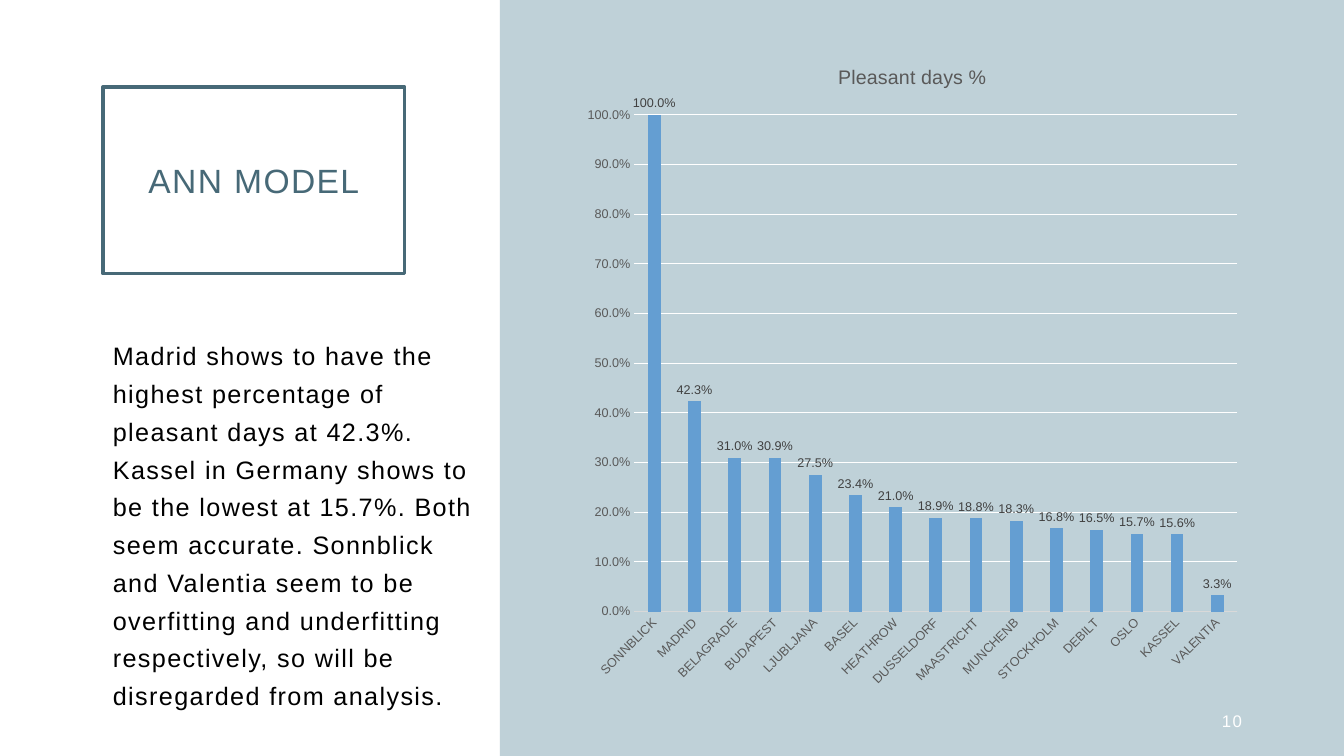
"""Build the ANN model slide: a framed title, commentary and a column chart of pleasant days."""
from dataclasses import dataclass

from lxml import etree
from pptx import Presentation
from pptx import util as u
from pptx.chart.chart import Chart
from pptx.chart.data import CategoryChartData
from pptx.dml.color import RGBColor
from pptx.enum import chart as charts, shapes, text
from pptx.oxml.ns import qn
from pptx.slide import Slide
from pptx.text.text import Font

EMU_PER_PX = 914400 / 100.8


@dataclass(frozen=True)
class Theme:
    font: str = "Arial"
    accent: str = "476977"
    panel: str = "AFC6CF"
    panel_alpha: int = 80
    ink: str = "000000"
    white: str = "FFFFFF"
    bar: str = "649ED2"
    axis_text: str = "595959"
    axis_line: str = "D9D9D9"
    label_text: str = "404040"
    title_size: int = 24
    body_size: int = 18
    chart_title_size: int = 14
    number_size: int = 12
    chart_size: int = 10
    axis_size: int = 9
    letter_spacing: int = 100


@dataclass(frozen=True)
class Box:
    left: int
    top: int
    width: int
    height: int

    def emu(self) -> tuple[u.Emu, ...]:
        return tuple(px(n) for n in (self.left, self.top, self.width, self.height))


@dataclass(frozen=True)
class TextBlock:
    box: Box
    words: str
    size: int
    color: str
    align: text.PP_ALIGN = text.PP_ALIGN.LEFT
    anchor: text.MSO_ANCHOR = text.MSO_ANCHOR.MIDDLE
    line_spacing: float = 1.0
    space_after: int = 0
    outline: str | None = None


THEME = Theme()
PANEL = Box(500, 0, 844, 756)
CHART = Box(574, 42, 677, 658)
BLOCKS = (
    TextBlock(Box(103, 87, 302, 187), "ANN MODEL", THEME.title_size, THEME.accent,
              align=text.PP_ALIGN.CENTER, outline=THEME.accent),
    TextBlock(Box(103, 328, 384, 386),
              "Madrid shows to have the highest percentage of pleasant days at 42.3%. "
              "Kassel in Germany shows to be the lowest at 15.7%. Both seem accurate. "
              "Sonnblick and Valentia seem to be overfitting and underfitting "
              "respectively, so will be disregarded from analysis.",
              THEME.body_size, THEME.ink, anchor=text.MSO_ANCHOR.TOP,
              line_spacing=1.25, space_after=6),
    TextBlock(Box(950, 701, 302, 40), "10", THEME.number_size, THEME.white,
              align=text.PP_ALIGN.RIGHT),
)
CHART_TITLE = "Pleasant days %"
PERCENT = "0.0%"
PLEASANT_DAYS = {
    "SONNBLICK": 1, "MADRID": 0.423, "BELAGRADE": 0.31, "BUDAPEST": 0.309,
    "LJUBLJANA": 0.275, "BASEL": 0.234, "HEATHROW": 0.21, "DUSSELDORF": 0.189,
    "MAASTRICHT": 0.188, "MUNCHENB": 0.183, "STOCKHOLM": 0.168, "DEBILT": 0.165,
    "OSLO": 0.157, "KASSEL": 0.156, "VALENTIA": 0.033,
}


def px(length: int) -> u.Emu:
    return u.Emu(round(length * EMU_PER_PX))


def rgb(color: str) -> RGBColor:
    return RGBColor.from_string(color)


def style_font(font: Font, size: int, color: str) -> None:
    font.name = THEME.font
    font.size = u.Pt(size)
    font.bold = False
    font.color.rgb = rgb(color)


def draw_panel(slide: Slide) -> None:
    panel = slide.shapes.add_shape(shapes.MSO_SHAPE.RECTANGLE, *PANEL.emu())
    panel.shadow.inherit = False
    panel.fill.solid()
    panel.fill.fore_color.rgb = rgb(THEME.panel)
    panel.line.fill.background()
    color = panel.element.xpath("./p:spPr/a:solidFill/a:srgbClr")[0]
    etree.SubElement(color, qn("a:alpha")).set("val", str(THEME.panel_alpha * 1000))


def draw_text(slide: Slide, block: TextBlock) -> None:
    shape = slide.shapes.add_textbox(*block.box.emu())
    if block.outline:
        shape.line.color.rgb = rgb(block.outline)
        shape.line.width = u.Pt(2.25)
    frame = shape.text_frame
    frame.word_wrap = True
    frame.vertical_anchor = block.anchor
    paragraph = frame.paragraphs[0]
    paragraph.text = block.words
    paragraph.alignment = block.align
    paragraph.line_spacing = block.line_spacing
    paragraph.space_after = u.Pt(block.space_after)
    style_font(paragraph.font, block.size, block.color)
    for properties in shape.element.xpath(".//a:defRPr"):
        properties.set("spc", str(THEME.letter_spacing))


def style_axes(chart: Chart) -> None:
    for axis in (chart.category_axis, chart.value_axis):
        axis.major_tick_mark = charts.XL_TICK_MARK.NONE
        axis.minor_tick_mark = charts.XL_TICK_MARK.NONE
        style_font(axis.tick_labels.font, THEME.axis_size, THEME.axis_text)
    category_line = chart.category_axis.format.line
    category_line.color.rgb = rgb(THEME.axis_line)
    category_line.width = u.Pt(0.75)
    chart.element.xpath(".//c:catAx/c:txPr/a:bodyPr")[0].set("rot", str(-45 * 60000))

    values = chart.value_axis
    values.minimum_scale, values.maximum_scale, values.major_unit = 0, 1, 0.1
    values.format.line.fill.background()
    values.tick_labels.number_format = PERCENT
    values.tick_labels.number_format_is_linked = False
    values.has_major_gridlines = True
    values.major_gridlines.format.line.color.rgb = rgb(THEME.white)
    values.major_gridlines.format.line.width = u.Pt(0.75)


def draw_chart(slide: Slide) -> None:
    data = CategoryChartData(number_format=PERCENT)
    data.categories = list(PLEASANT_DAYS)
    data.add_series(CHART_TITLE, list(PLEASANT_DAYS.values()))
    chart = slide.shapes.add_chart(
        charts.XL_CHART_TYPE.COLUMN_CLUSTERED, *CHART.emu(), data).chart
    style_font(chart.font, THEME.chart_size, THEME.ink)
    chart.has_legend = False
    chart.has_title = True
    title = chart.chart_title.text_frame.paragraphs[0]
    title.text = CHART_TITLE
    style_font(title.font, THEME.chart_title_size, THEME.axis_text)
    style_axes(chart)

    plot = chart.plots[0]
    plot.gap_width = 219
    plot.overlap = -27
    plot.vary_by_categories = False
    series = plot.series[0]
    series.format.fill.solid()
    series.format.fill.fore_color.rgb = rgb(THEME.bar)
    labels = series.data_labels
    labels.show_value = True
    labels.position = charts.XL_LABEL_POSITION.OUTSIDE_END
    labels.number_format = PERCENT
    labels.number_format_is_linked = False
    style_font(labels.font, THEME.axis_size, THEME.label_text)


def main() -> None:
    presentation = Presentation()
    presentation.slide_width = px(1344)
    presentation.slide_height = px(756)
    slide = presentation.slides.add_slide(presentation.slide_layouts[6])
    draw_panel(slide)
    for block in BLOCKS:
        draw_text(slide, block)
    draw_chart(slide)
    presentation.save("out.pptx")


if __name__ == "__main__":
    main()
